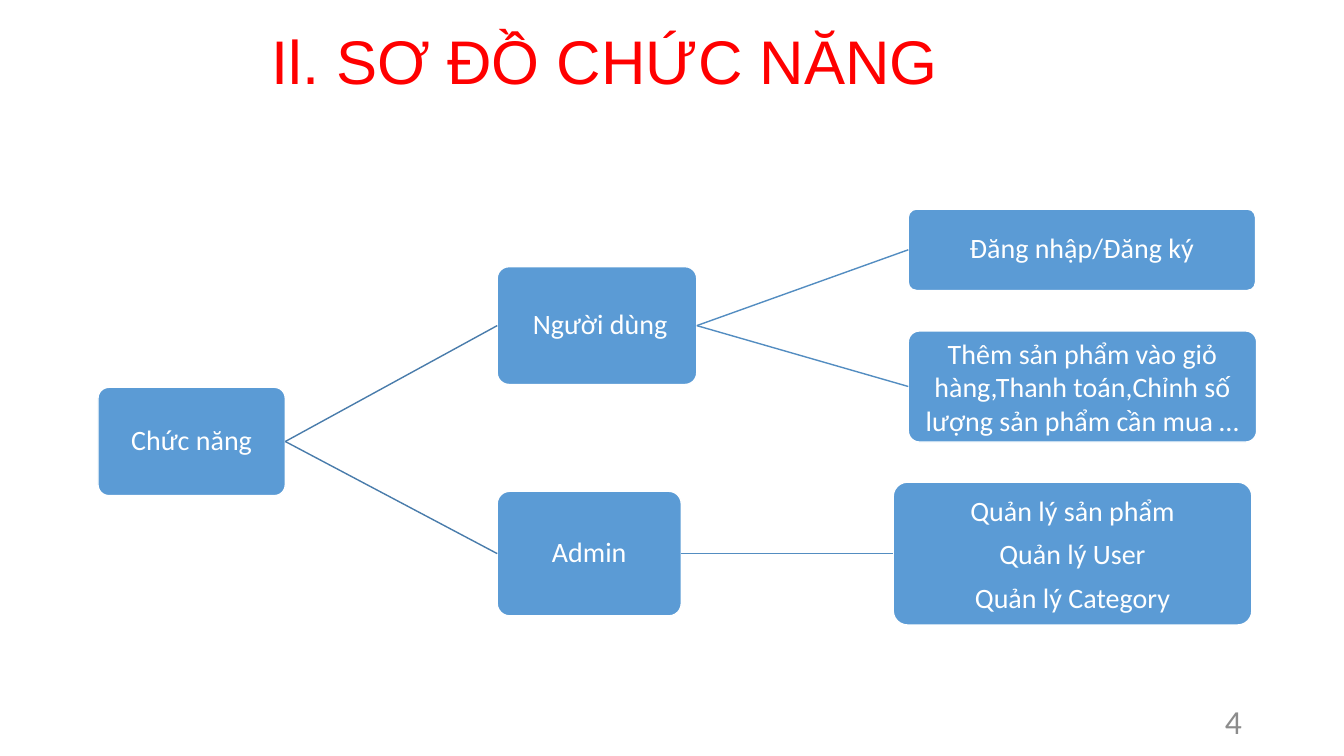
from pptx import Presentation
from pptx.dml.color import RGBColor
from pptx.enum.shapes import MSO_CONNECTOR, MSO_SHAPE
from pptx.enum.text import MSO_ANCHOR, MSO_AUTO_SIZE, PP_ALIGN
from pptx.oxml.ns import qn
from pptx.util import Cm, Pt
from lxml import etree

ROUND = MSO_SHAPE.ROUNDED_RECTANGLE
STRAIGHT = MSO_CONNECTOR.STRAIGHT
MIDDLE = MSO_ANCHOR.MIDDLE
CENTER, RIGHT = PP_ALIGN.CENTER, PP_ALIGN.RIGHT
GROW = MSO_AUTO_SIZE.SHAPE_TO_FIT_TEXT

RED = RGBColor(0xFF, 0x00, 0x00)
GRAY = RGBColor(0x8C, 0x8C, 0x8C)
WHITE = RGBColor(0xFF, 0xFF, 0xFF)
BLUE = RGBColor(0x5B, 0x9B, 0xD5)
DARK = RGBColor(0x49, 0x7C, 0xAB)
MID = RGBColor(0x53, 0x8D, 0xC1)

LEFT_SITE, RIGHT_SITE = 1, 3


def style(par, name, size, color):
    par.font.name = name
    par.font.size = Pt(size)
    par.font.color.rgb = color


deck = Presentation()
deck.slide_width, deck.slide_height = Cm(33.87), Cm(19.05)
slide = deck.slides.add_slide(deck.slide_layouts[6])
shapes = slide.shapes

# Title and page number
title = shapes.add_textbox(Cm(6.6), Cm(0.46), Cm(17.48), Cm(2.14)).text_frame
title.word_wrap = False
title.auto_size = GROW
title.text = "Il. SƠ ĐỒ CHỨC NĂNG"
style(title.paragraphs[0], "Arial", 44, RED)

page = shapes.add_textbox(Cm(23.93), Cm(17.65), Cm(7.62), Cm(1.02)).text_frame
page.word_wrap = True
page.vertical_anchor = MIDDLE
page.text = "4"
page.paragraphs[0].alignment = RIGHT
style(page.paragraphs[0], "Calibri", 24, GRAY)

# Boxes: key, left, top, width, height (cm), line spacing, lines of text
BOXES = [
    ("root", 2.47, 9.76, 4.72, 2.73, 0.9, ["Chức năng"]),
    ("user", 12.53, 6.72, 5.03, 2.97, 0.9, [" Người dùng"]),
    ("login", 22.89, 5.27, 8.75, 2.05, 0.9, ["Đăng nhập/Đăng ký"]),
    ("shop", 22.89, 8.34, 8.78, 2.8, 1.0,
     ["Thêm sản phẩm vào giỏ hàng,Thanh toán,Chỉnh số lượng sản phẩm cần mua …"]),
    ("admin", 12.53, 12.38, 4.64, 3.14, 0.9, ["Admin"]),
    ("manage", 22.51, 12.15, 9.04, 3.6, 1.0,
     ["Quản lý sản phẩm", "Quản lý User", "Quản lý Category"]),
]
nodes = {}
for key, left, top, width, height, spacing, lines in BOXES:
    box = shapes.add_shape(ROUND, Cm(left), Cm(top), Cm(width), Cm(height))
    box.adjustments[0] = 0.1
    box.shadow.inherit = False
    box.fill.solid()
    box.fill.fore_color.rgb = BLUE
    box.line.color.rgb = WHITE
    box.line.width = Pt(1)
    frame = box.text_frame
    frame.word_wrap = True
    frame.vertical_anchor = MIDDLE
    frame.margin_left = frame.margin_right = Cm(0.03)
    frame.margin_top = frame.margin_bottom = Cm(0.03)
    frame.text = "\n".join(lines)
    for par in frame.paragraphs:
        par.alignment = CENTER
        par.line_spacing = spacing
        par.space_after = Pt(7)
        style(par, "Calibri", 20, WHITE)
    nodes[key] = box

# Branches of the tree
LINKS = [
    ("root", "user", DARK),
    ("root", "admin", DARK),
    ("user", "login", MID),
    ("user", "shop", MID),
    ("admin", "manage", MID),
]
for parent, child, color in LINKS:
    link = shapes.add_connector(STRAIGHT, 0, 0, 0, 0)
    link.begin_connect(nodes[parent], RIGHT_SITE)
    link.end_connect(nodes[child], LEFT_SITE)
    link.line.color.rgb = color
    link.line.width = Pt(1)
    etree.SubElement(link.element.spPr, qn("a:effectLst"))

deck.save("out.pptx")
